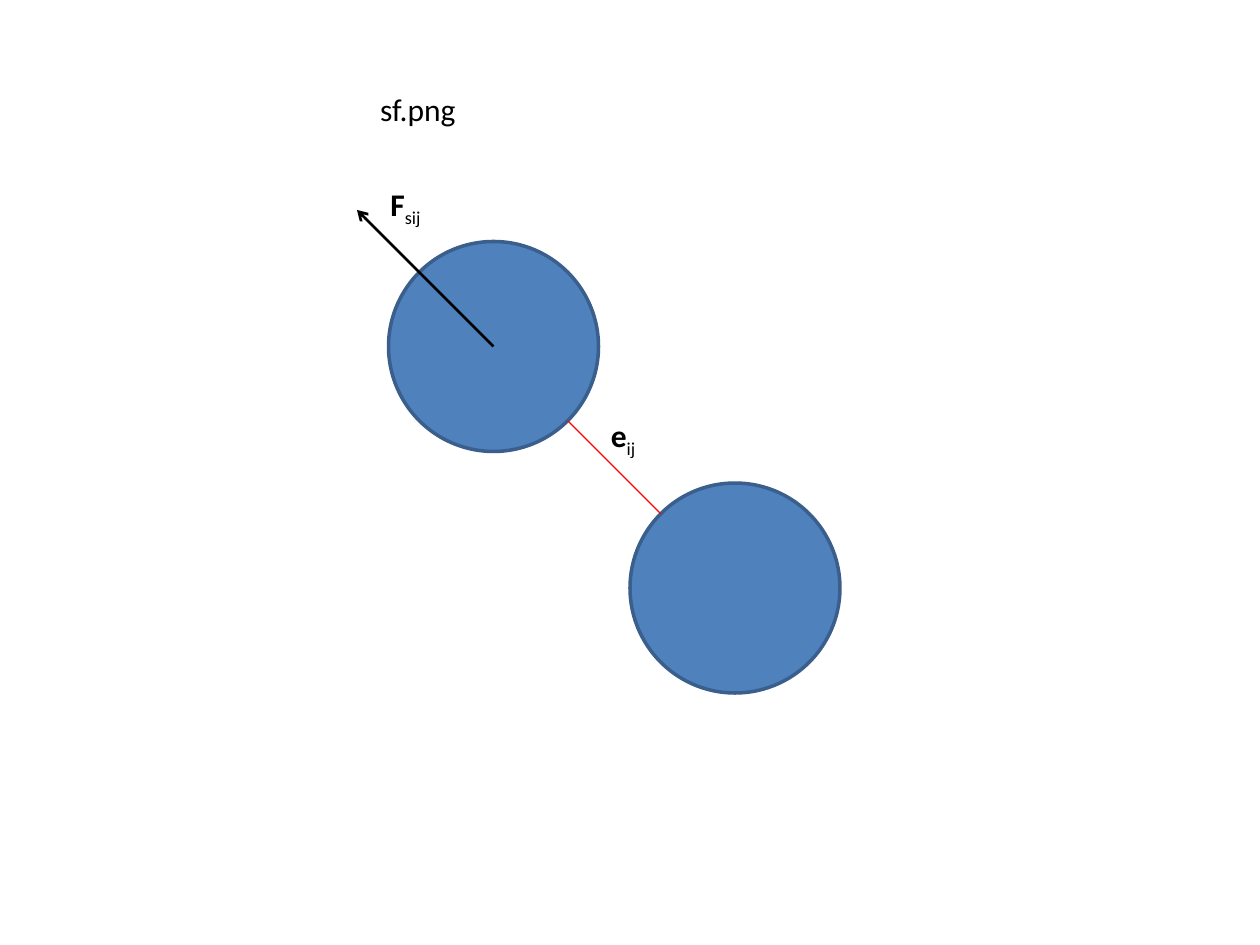
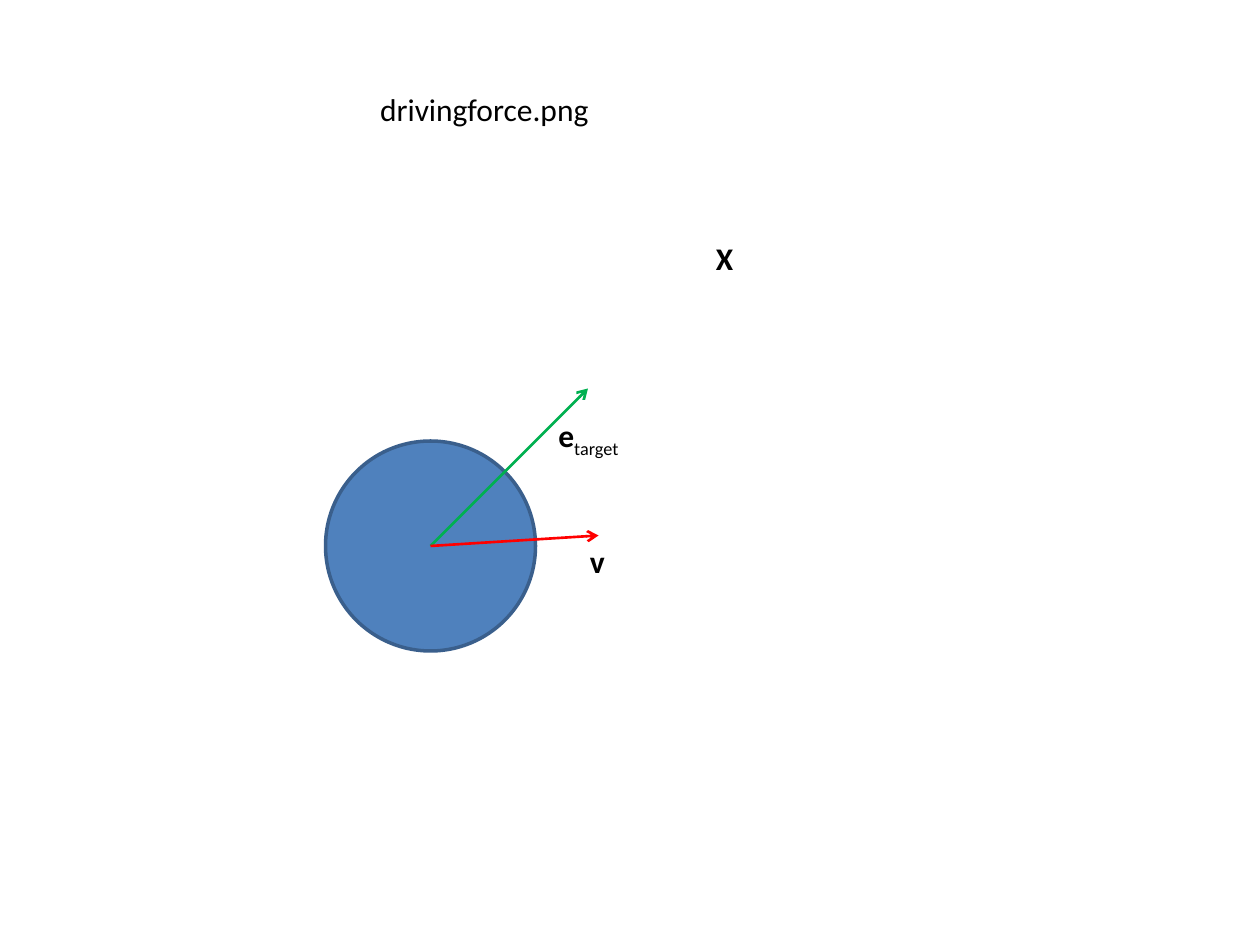
from math import sqrt
from pptx import Presentation
from pptx.util import Pt
from pptx.dml.color import RGBColor
from pptx.enum.shapes import MSO_SHAPE, MSO_CONNECTOR
from pptx.enum.text import PP_ALIGN, MSO_ANCHOR, MSO_AUTO_SIZE
from pptx.oxml.ns import qn
from lxml.etree import SubElement

BLACK, RED, GREEN = "000000", "FF0000", "00B050"
BODY_FILL, BODY_EDGE = "4F81BD", "3A5F8C"
FONT, SIZE = "Calibri", 18
RADIUS = 60
LABEL_HEIGHT = 29
TITLE_BOX = (210, 48, 360, LABEL_HEIGHT)
TITLE_ONLY = 5


def color(code):
    return RGBColor.from_string(code)


def write(shape, text, subscript="", bold=False, wrap=True):
    frame = shape.text_frame
    frame.word_wrap = wrap
    frame.auto_size = MSO_AUTO_SIZE.SHAPE_TO_FIT_TEXT
    frame.vertical_anchor = MSO_ANCHOR.TOP
    para = frame.paragraphs[0]
    para.alignment = PP_ALIGN.LEFT
    for part, lowered in ((text, False), (subscript, True)):
        if not part:
            continue
        span = para.add_run()
        span.text = part
        span.font.name = FONT
        span.font.size = Pt(SIZE)
        span.font.bold = bold and not lowered
        span.font.color.rgb = color(BLACK)
        if lowered:
            span.font._element.set("baseline", "-25000")


def add_page(deck, title):
    page = deck.slides.add_slide(deck.slide_layouts[TITLE_ONLY])
    box = page.shapes.title
    box.left, box.top, box.width, box.height = map(Pt, TITLE_BOX)
    write(box, title)
    return page


def add_label(page, left, top, width, text, **style):
    box = page.shapes.add_textbox(Pt(left), Pt(top), Pt(width), Pt(LABEL_HEIGHT))
    write(box, text, bold=True, **style)


def add_particle(page, center):
    x, y = center
    circle = page.shapes.add_shape(MSO_SHAPE.OVAL, Pt(x - RADIUS), Pt(y - RADIUS),
                                   Pt(2 * RADIUS), Pt(2 * RADIUS))
    circle.shadow.inherit = False
    circle.fill.solid()
    circle.fill.fore_color.rgb = color(BODY_FILL)
    circle.line.color.rgb = color(BODY_EDGE)
    circle.line.width = Pt(2)


def add_line(page, start, end, code, width=1.5, arrow=True):
    line = page.shapes.add_connector(MSO_CONNECTOR.STRAIGHT, *map(Pt, (*start, *end)))
    line.line.color.rgb = color(code)
    line.line.width = Pt(width)
    if arrow:
        SubElement(line.line._get_or_add_ln(), qn("a:tailEnd"), type="arrow")
    SubElement(line._element.spPr, qn("a:effectLst"))


def draw_pair_force(page, left, top):
    upper = (left + RADIUS, top + RADIUS)
    lower = (upper[0] + 138, upper[1] + 138)
    for center in (upper, lower):
        add_particle(page, center)
    reach = RADIUS / sqrt(2)
    add_line(page, [c - reach for c in lower], [c + reach for c in upper],
             RED, width=0.75, arrow=False)
    add_label(page, left + 120, top + 96, 36, "e", subscript="ij")
    add_line(page, upper, [c - 78 for c in upper], BLACK)
    add_label(page, left - 6, top - 36, 42, "F", subscript="sij")


def draw_driving_force(page, left, top):
    center = x, y = (left + RADIUS, top + RADIUS)
    add_particle(page, center)
    add_line(page, center, (x + 90, y - 90), GREEN)
    add_line(page, center, (x + 96, y - 6), RED)
    add_label(page, left + 216, top - 119, 30, "X")
    add_label(page, left + 126, top - 18, 52.5, "e", subscript="target", wrap=False)
    add_label(page, left + 144, top + 54, 23, "v", wrap=False)


deck = Presentation()
deck.slide_width, deck.slide_height = Pt(720), Pt(540)
draw_pair_force(add_page(deck, "sf.png"), 222, 138)
draw_driving_force(add_page(deck, "drivingforce.png"), 186, 252)
deck.save("out.pptx")
